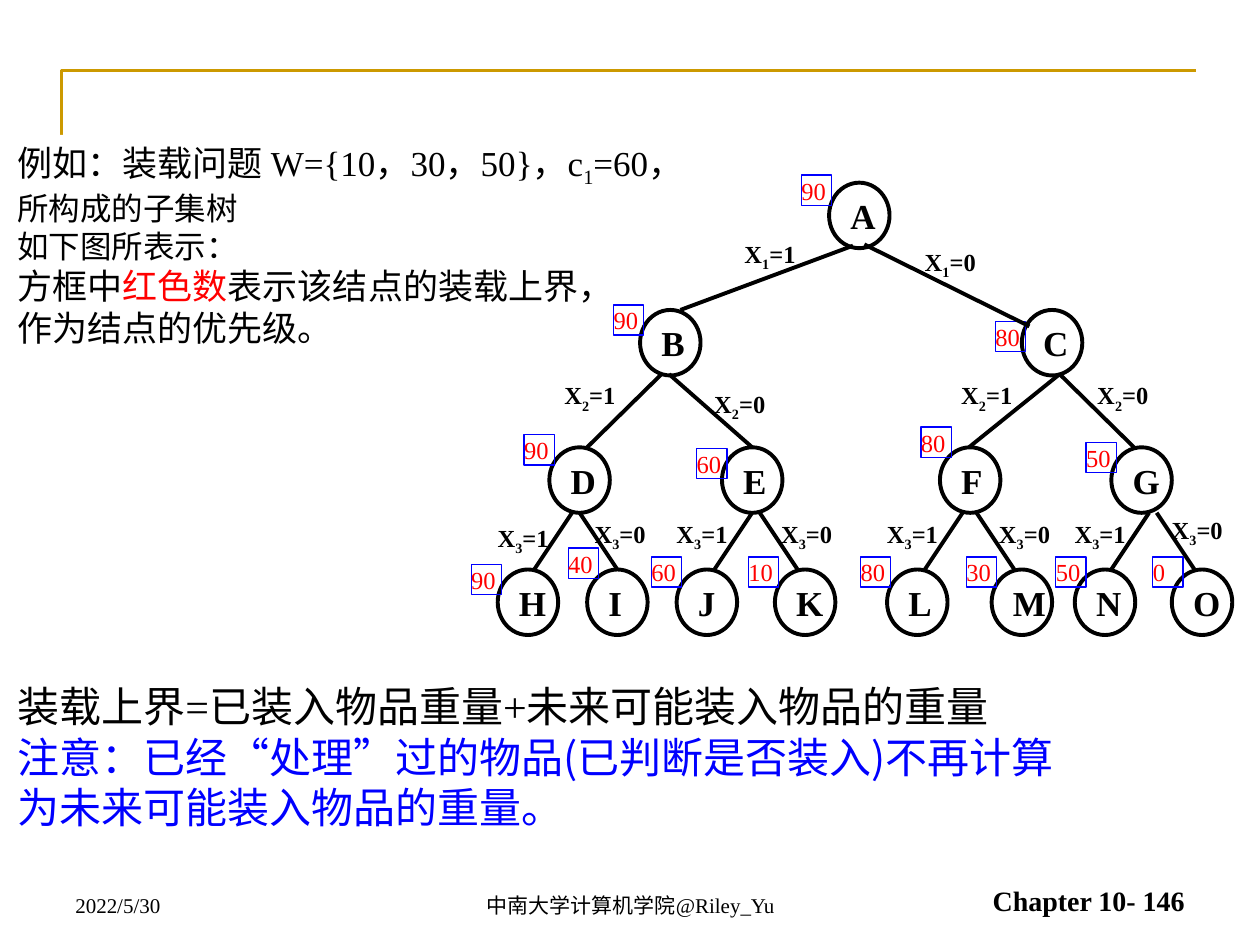
from lxml import etree
from pptx import Presentation
from pptx.dml.color import RGBColor
from pptx.enum.shapes import MSO_CONNECTOR, MSO_SHAPE
from pptx.enum.text import MSO_ANCHOR, PP_ALIGN
from pptx.oxml.ns import qn
from pptx.util import Inches, Pt

OVAL, RECT = MSO_SHAPE.OVAL, MSO_SHAPE.RECTANGLE
STRAIGHT = MSO_CONNECTOR.STRAIGHT
TOP, MIDDLE, BOTTOM = MSO_ANCHOR.TOP, MSO_ANCHOR.MIDDLE, MSO_ANCHOR.BOTTOM
LEFT, CENTER, RIGHT = PP_ALIGN.LEFT, PP_ALIGN.CENTER, PP_ALIGN.RIGHT

THEME = {
    "latin": "Times New Roman", "cjk": "Noto Sans CJK SC",
    "black": RGBColor(0, 0, 0), "white": RGBColor(255, 255, 255),
    "red": RGBColor(255, 0, 0), "blue": RGBColor(0, 0, 255),
    "gold": RGBColor(0xCC, 0x99, 0),
    "summary": 24, "body": 20, "detail": 18, "chapter": 16, "label": 14, "footer": 12,
}

SUB = "sub"
# (size, colour, font, space before, runs); a run is (text, style)
PARAGRAPHS = [
    ("body", "black", "latin", 0,
     [("例如：装载问题 W={10，30，50}，c", None), ("1", SUB), ("=60，", None)]),
    ("detail", "black", "latin", 0, [("所构成的子集树", None)]),
    ("detail", "black", "latin", 0, [("如下图所表示：", None)]),
    ("body", "black", "latin", 0,
     [("方框中", None), ("红色数", "red"), ("表示该结点的装载上界，", None)]),
    ("body", "black", "latin", 0, [("作为结点的优先级。", None)]),
    ("summary", "black", "latin", 190,
     [("装载上界=已装入物品重量+未来可能装入物品的重量", None)]),
    ("summary", "blue", "cjk", 0,
     [("注意：已经“处理”过的物品(已判断是否装入)不再计算", None)]),
    ("summary", "blue", "cjk", 0, [("为未来可能装入物品的重量。", None)]),
]

LEVEL_TOPS = [1.45, 2.46, 3.55, 4.52]
# per level: (name, left, bound, bound left, bound top)
LEVELS = [
    [("A", 6.58, 90, 6.36, 1.39)],
    [("B", 5.08, 90, 4.87, 2.42), ("C", 8.11, 80, 7.90, 2.55)],
    [("D", 4.36, 90, 4.16, 3.45), ("E", 5.73, 60, 5.53, 3.56),
     ("F", 7.46, 80, 7.31, 3.39), ("G", 8.82, 50, 8.62, 3.51)],
    [("H", 3.95, 90, 3.74, 4.48), ("I", 4.66, 40, 4.51, 4.35),
     ("J", 5.37, 60, 5.17, 4.42), ("K", 6.15, 10, 5.94, 4.42),
     ("L", 7.04, 80, 6.83, 4.42), ("M", 7.87, 30, 7.67, 4.42),
     ("N", 8.53, 50, 8.38, 4.42), ("O", 9.30, 0, 9.15, 4.42)],
]
NODE_W, NODE_H, BOUND = 0.48, 0.52, 0.24

UPPER_EDGES = [
    (6.77, 1.95, 5.40, 2.46), (6.86, 1.94, 8.17, 2.59),
    (5.25, 2.97, 4.66, 3.55), (5.31, 2.97, 5.97, 3.55),
    (8.41, 2.97, 7.69, 3.55), (8.41, 2.97, 9.00, 3.55),
]
LEAF_EDGE_PAIRS = [(4.54, 4.60), (5.97, 6.03), (7.64, 7.75), (9.12, 9.18)]
LEAF_SPREAD = 0.3

# per variable: (left, top), alternating the values 1 and 0
LABELS = [
    [(5.81, 1.85), (7.24, 1.91)],
    [(4.38, 2.97), (5.57, 3.04), (7.53, 2.97), (8.61, 2.97)],
    [(3.85, 4.10), (4.62, 4.07), (5.27, 4.07), (6.10, 4.07),
     (6.94, 4.07), (7.83, 4.07), (8.43, 4.07), (9.20, 4.04)],
]

FOOTERS = [
    ("2022/5/30", 0.50, 2.33, LEFT, "footer", False),
    ("中南大学计算机学院@Riley_Yu", 3.42, 3.17, CENTER, "footer", False),
    ("Chapter 10- 146", 7.17, 2.33, RIGHT, "chapter", True),
]


def set_cjk(rPr):
    etree.SubElement(rPr, qn("a:ea")).set("typeface", THEME["cjk"])


def write(p, runs, size, color="black", font="latin", bold=False, align=LEFT):
    p.alignment = align
    p.font.size = Pt(THEME[size])
    p.font.bold = bold
    p.font.name = THEME[font]
    p.font.color.rgb = THEME[color]
    for text, style in runs:
        r = p.add_run()
        r.text = text
        rPr = r._r.get_or_add_rPr()
        set_cjk(rPr)
        if style == SUB:
            rPr.set("baseline", "-25000")
        elif style:
            r.font.color.rgb = THEME[style]


def add_text(s, x, y, w, h, wrap=True, anchor=TOP):
    sp = s.shapes.add_textbox(Inches(x), Inches(y), Inches(w), Inches(h))
    tf = sp.text_frame
    tf.word_wrap, tf.vertical_anchor = wrap, anchor
    return sp


def add_outline(s, kind, x, y, w, h, color, width):
    sp = s.shapes.add_shape(kind, Inches(x), Inches(y), Inches(w), Inches(h))
    sp.shadow.inherit = False
    sp.fill.background()
    sp.line.color.rgb = THEME[color]
    sp.line.width = Pt(width)
    return sp.text_frame


def add_edge(s, x1, y1, x2, y2):
    c = s.shapes.add_connector(STRAIGHT, Inches(x1), Inches(y1), Inches(x2), Inches(y2))
    c.line.color.rgb = THEME["black"]
    c.line.width = Pt(2.25)
    etree.SubElement(c._element.spPr, qn("a:effectLst"))


def add_frame(s):
    fb = s.shapes.build_freeform(Inches(0.49), Inches(1.23))
    fb.add_line_segments([(Inches(0.49), Inches(0.56)), (Inches(9.49), Inches(0.56))],
                         close=False)
    sp = fb.convert_to_shape()
    sp.shadow.inherit = False
    sp.fill.background()
    sp.line.color.rgb = THEME["gold"]
    sp.line.width = Pt(1.5)


def add_body(s):
    sp = add_text(s, 0.04, 1.07, 9.96, 6.4)
    sp.fill.solid()
    sp.fill.fore_color.rgb = THEME["white"]
    tf = sp.text_frame
    for i, (size, color, font, before, runs) in enumerate(PARAGRAPHS):
        p = tf.add_paragraph() if i else tf.paragraphs[0]
        if before:
            p.space_before = Pt(before)
        write(p, runs, size, color, font)


def add_tree(s):
    for top, level in zip(LEVEL_TOPS, LEVELS):
        for name, left, bound, bx, by in level:
            tf = add_outline(s, OVAL, left, top, NODE_W, NODE_H, "black", 2.25)
            tf.word_wrap, tf.vertical_anchor = False, MIDDLE
            write(tf.paragraphs[0], [(name, None)], "body", bold=True)
            tf = add_outline(s, RECT, bx, by, BOUND, BOUND, "blue", 0.75)
            tf.margin_left = tf.margin_right = tf.margin_top = tf.margin_bottom = 0
            tf.word_wrap, tf.vertical_anchor = True, MIDDLE
            write(tf.paragraphs[0], [(str(bound), None)], "label", "red")
    for edge in UPPER_EDGES:
        add_edge(s, *edge)
    y1, y2 = LEVEL_TOPS[2] + NODE_H, LEVEL_TOPS[3]
    for left, right in LEAF_EDGE_PAIRS:
        add_edge(s, left, y1, left - LEAF_SPREAD, y2)
        add_edge(s, right, y1, right + LEAF_SPREAD, y2)
    for n, places in enumerate(LABELS, 1):
        for i, (x, y) in enumerate(places):
            sp = add_text(s, x, y, 0.62, 0.34, wrap=False)
            runs = [("X", None), (str(n), SUB), (f"={1 - i % 2}", None)]
            write(sp.text_frame.paragraphs[0], runs, "label", bold=True)


def main():
    prs = Presentation()
    prs.slide_width, prs.slide_height = Inches(10), Inches(7.5)
    s = prs.slides.add_slide(prs.slide_layouts[6])
    add_frame(s)
    add_body(s)
    add_tree(s)
    for text, x, w, align, size, bold in FOOTERS:
        sp = add_text(s, x, 6.83, w, 0.5, anchor=BOTTOM)
        write(sp.text_frame.paragraphs[0], [(text, None)], size, bold=bold, align=align)
    prs.save("out.pptx")


if __name__ == "__main__":
    main()
